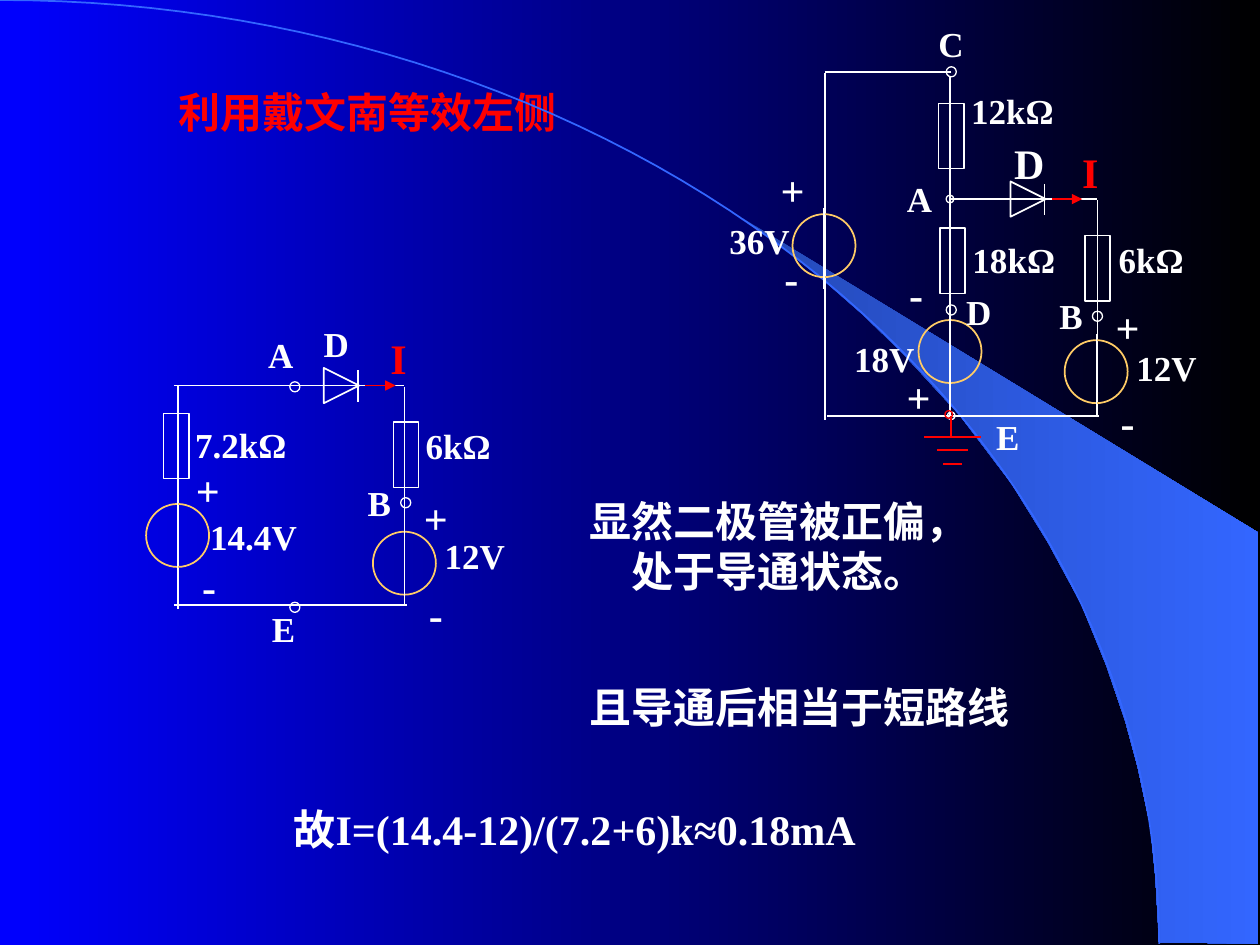
from math import cos, pi, sin

from lxml.etree import SubElement
from pptx import Presentation
from pptx.dml.color import RGBColor
from pptx.enum.shapes import MSO_CONNECTOR, MSO_SHAPE
from pptx.enum.text import MSO_ANCHOR, MSO_AUTO_SIZE, PP_ALIGN
from pptx.oxml.ns import qn
from pptx.util import Cm, Pt

FONT = "Times New Roman"
WHITE, RED, BLUE, AMBER = "FFFFFF", "FF0000", "3366FF", "FFCC66"
SWOOSH = [(9.2, 7.48), (9.99, 7.49), (9.99, 4.23), (5.89, 1.73), (6.24, 1.99),
          (6.53, 2.22), (6.85, 2.5), (7.16, 2.8), (7.62, 3.3), (8.03, 3.84),
          (8.32, 4.31), (8.58, 4.79), (8.78, 5.28), (8.93, 5.72), (9.03, 6.09),
          (9.13, 6.56), (9.17, 6.96), (9.2, 7.48)]


def unit(n):
    """Length of n grid units; the slide is 10 units wide."""
    return Cm(2.54 * n)


def color(value):
    return RGBColor.from_string(value)


def gradient(fill, start, end):
    fill.gradient()
    fill.gradient_angle = 0
    for stop, position, value in zip(fill.gradient_stops, (0, 1), (start, end)):
        stop.position = position
        stop.color.rgb = color(value)


def outline(sp, value, width):
    sp.line.color.rgb = color(value)
    sp.line.width = Pt(width)


def write(sp, text, size=20, rgb=WHITE, align=PP_ALIGN.LEFT):
    tf = sp.text_frame
    tf.word_wrap = True
    tf.auto_size = MSO_AUTO_SIZE.SHAPE_TO_FIT_TEXT
    tf.vertical_anchor = MSO_ANCHOR.TOP
    p = tf.paragraphs[0]
    p.alignment = align
    r = p.add_run()
    r.text = text
    r.font.name, r.font.size, r.font.bold = FONT, Pt(size), True
    r.font.color.rgb = color(rgb)


def label(shapes, text, x, y, w=1, h=0.43, **fmt):
    sp = shapes.add_textbox(unit(x), unit(y), unit(w), unit(h))
    write(sp, text, **fmt)
    return sp


def sign(shapes, text, x, y, rotation=0):
    sp = label(shapes, text, x, y, 0.5, 0.5, size=24, align=PP_ALIGN.CENTER)
    sp.rotation = rotation


def freeform(shapes, points):
    corners = [(unit(x), unit(y)) for x, y in points]
    builder = shapes.build_freeform(*corners[0])
    builder.add_line_segments(corners[1:], close=False)
    sp = builder.convert_to_shape()
    sp.shadow.inherit = False
    return sp


def line(shapes, x1, y1, x2, y2, rgb=WHITE, width=1, arrow=False):
    cn = shapes.add_connector(MSO_CONNECTOR.STRAIGHT,
                              unit(x1), unit(y1), unit(x2), unit(y2))
    outline(cn, rgb, width)
    props = cn._element.spPr
    if arrow:
        SubElement(props.find(qn("a:ln")), qn("a:tailEnd"), type="triangle")
    SubElement(props, qn("a:effectLst"))


def symbol(shapes, kind, cx, cy, w, h, rgb=WHITE, width=0.75, rotation=0):
    """Unfilled shape centred on (cx, cy)."""
    sp = shapes.add_shape(kind, unit(cx - w / 2), unit(cy - h / 2), unit(w), unit(h))
    sp.shadow.inherit = False
    sp.fill.background()
    sp.rotation = rotation
    outline(sp, rgb, width)


def resistor(shapes, cx, cy):
    symbol(shapes, MSO_SHAPE.RECTANGLE, cx, cy, 0.52, 0.2, rotation=90)


def node(shapes, cx, cy, size=0.08, rgb=WHITE):
    symbol(shapes, MSO_SHAPE.OVAL, cx, cy, size, size, rgb)


def source(shapes, cx, cy):
    symbol(shapes, MSO_SHAPE.OVAL, cx, cy, 0.5, 0.5, AMBER, 1)
    line(shapes, cx, cy - 0.3, cx, cy + 0.34, width=0.75)


def diode(shapes, cx, cy):
    """Diode followed by the red current arrow."""
    symbol(shapes, MSO_SHAPE.ISOSCELES_TRIANGLE, cx, cy, 0.28, 0.28,
           width=1, rotation=90)
    line(shapes, cx + 0.13, cy - 0.12, cx + 0.13, cy + 0.13)
    line(shapes, cx + 0.19, cy, cx + 0.43, cy, RED, arrow=True)


def thevenin_circuit(shapes):
    for wire in [(1.41, 3.06, 1.41, 4.83), (3.21, 3.07, 3.21, 4.77),
                 (1.38, 3.06, 3.21, 3.06), (1.38, 4.8, 3.23, 4.8)]:
        line(shapes, *wire)
    diode(shapes, 2.71, 3.06)
    for x, y in [(1.4, 3.54), (3.22, 3.61)]:
        resistor(shapes, x, y)
    for x, y in [(1.41, 4.25), (3.21, 4.47)]:
        source(shapes, x, y)
    for x, y in [(2.34, 3.07), (2.34, 4.82), (3.22, 3.99)]:
        node(shapes, x, y)
    for text, x, y in [("A", 2.03, 2.6), ("B", 2.82, 3.77), ("D", 2.47, 2.51),
                       ("E", 2.06, 4.77)]:
        label(shapes, text, x, y, 0.67)
    for text, x, y in [("7.2kΩ", 1.45, 3.31), ("6kΩ", 3.28, 3.32),
                       ("14.4V", 1.57, 4.04), ("12V", 3.43, 4.19)]:
        label(shapes, text, x, y)
    label(shapes, "I", 3, 2.59, 0.58, 0.5, size=24, rgb=RED)
    for text, x, y in [("+", 1.4, 3.64), ("-", 1.41, 4.4),
                       ("+", 3.21, 3.86), ("-", 3.21, 4.62)]:
        sign(shapes, text, x, y)


def full_circuit(shapes):
    for wire in [(7.54, 0.6, 7.54, 3.29), (8.71, 1.59, 8.71, 3.29),
                 (7.54, 1.58, 8.71, 1.58), (7.55, 0.57, 6.55, 0.57),
                 (6.55, 0.58, 6.55, 3.33), (7.56, 3.3, 6.56, 3.3),
                 (7.56, 3.3, 8.72, 3.3)]:
        line(shapes, *wire)
    diode(shapes, 8.16, 1.58)
    for x, y in [(7.55, 1.08), (7.56, 2.07), (8.71, 2.13)]:
        resistor(shapes, x, y)
    for x, y in [(6.54, 1.95), (7.54, 2.79), (8.7, 2.95)]:
        source(shapes, x, y)
    for x, y in [(7.55, 0.57), (7.55, 2.46), (8.71, 2.51)]:
        node(shapes, x, y)
    for x, y in [(7.54, 1.58), (7.55, 3.3)]:
        node(shapes, x, y, 0.06)
    for text, x, y in [("A", 7.1, 1.36), ("C", 7.35, 0.13), ("B", 8.31, 2.29),
                       ("D", 7.57, 2.26)]:
        label(shapes, text, x, y, 0.67)
    for text, x, y in [("36V", 5.69, 1.69), ("18V", 6.68, 2.63), ("12V", 8.92, 2.7),
                       ("12kΩ", 7.61, 0.66), ("18kΩ", 7.62, 1.84),
                       ("6kΩ", 8.78, 1.84)]:
        label(shapes, text, x, y)
    label(shapes, "D", 7.95, 1.04, 0.58, 0.5, size=24)
    label(shapes, "I", 8.49, 1.11, 0.58, 0.5, size=24, rgb=RED)
    label(shapes, "E", 7.75, 3.25, 0.5, align=PP_ALIGN.CENTER)
    for text, x, y, rotation in [("+", 6.04, 1.3, 180), ("-", 6.03, 2.06, 180),
                                 ("-", 7.02, 2.19, 180), ("+", 7.04, 2.94, 180),
                                 ("+", 8.7, 2.34, 0), ("-", 8.7, 3.1, 0)]:
        sign(shapes, text, x, y, rotation)
    # Ground
    line(shapes, 7.55, 3.3, 7.55, 3.47, RED)
    for y, w in [(3.47, 0.45), (3.57, 0.25), (3.68, 0.15)]:
        line(shapes, 7.56 - w / 2, y, 7.56 + w / 2, y, RED)
    node(shapes, 7.53, 3.29, 0.06, RED)


def backdrop(s):
    gradient(s.background.fill, "0000FF", "000000")
    swoosh = freeform(s.shapes, SWOOSH)
    gradient(swoosh.fill, "2449B6", BLUE)
    swoosh.line.fill.background()
    # Quarter ellipse from the top left to the bottom right
    steps = 60
    angles = [pi / 2 * i / steps for i in range(steps + 1)]
    arc = freeform(s.shapes, [(9.2 * sin(a), 7.49 * (1 - cos(a))) for a in angles])
    arc.fill.background()
    outline(arc, BLUE, 1)


def main():
    prs = Presentation()
    prs.slide_width, prs.slide_height = unit(10), unit(7.5)
    s = prs.slides.add_slide(prs.slide_layouts[5])
    backdrop(s)

    # Heading
    title = s.shapes.title
    title.left, title.top = unit(0.83), unit(0.64)
    title.width, title.height = unit(4.17), unit(0.5)
    write(title, "利用戴文南等效左侧", size=24, rgb=RED, align=PP_ALIGN.CENTER)

    # Circuits
    thevenin_circuit(s.shapes.add_group_shape().shapes)
    full_circuit(s.shapes.add_group_shape().shapes)

    # Reasoning
    for text, x, y, w, h in [
            ("显然二极管被正偏，处于导通状态。", 4.55, 3.88, 3.25, 0.9),
            ("且导通后相当于短路线", 4.26, 5.36, 4.17, 0.5),
            ("故I=(14.4-12)/(7.2+6)k≈0.18mA", 1.85, 6.33, 5.42, 0.5)]:
        label(s.shapes, text, x, y, w, h, size=24, align=PP_ALIGN.CENTER)

    prs.save("out.pptx")


if __name__ == "__main__":
    main()
